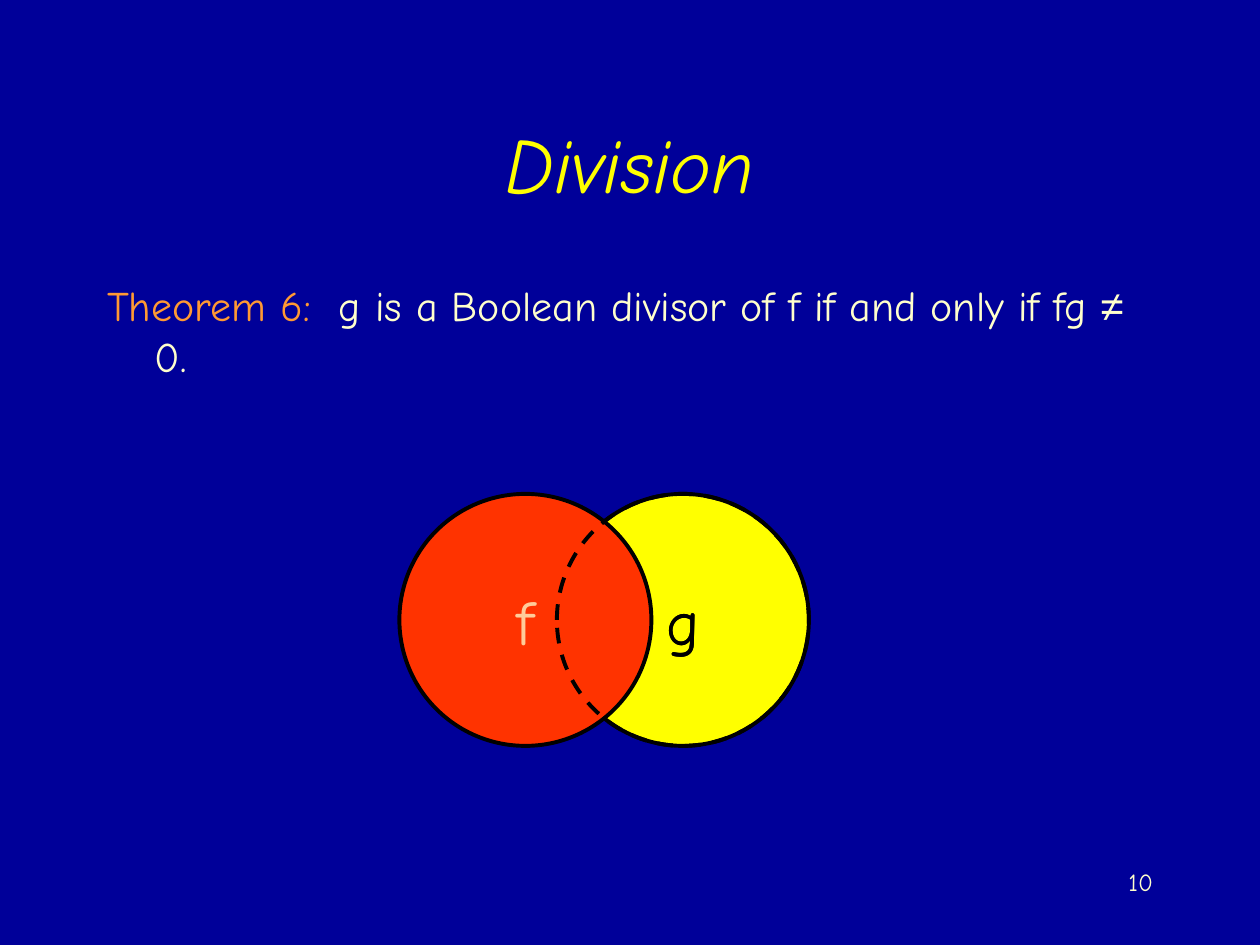
from lxml import etree
from pptx import Presentation
from pptx.dml.color import RGBColor
from pptx.enum.dml import MSO_LINE_DASH_STYLE as Dash
from pptx.enum.shapes import MSO_SHAPE as Shape
from pptx.enum.text import MSO_ANCHOR as Anchor, MSO_AUTO_SIZE as AutoSize, PP_ALIGN as Align
from pptx.oxml.ns import qn
from pptx.util import Inches, Pt

NAVY = RGBColor(0x00, 0x00, 0x99)
YELLOW = RGBColor(0xFF, 0xFF, 0x00)
ORANGE = RGBColor(0xFF, 0x99, 0x33)
CREAM = RGBColor(0xFF, 0xFF, 0xCC)
RED = RGBColor(0xFF, 0x33, 0x00)
PEACH = RGBColor(0xFF, 0xCC, 0x99)
BLACK = RGBColor(0x00, 0x00, 0x00)


class SlideBuilder:
    """Holds the style and the current slide."""

    font_name = "Comic Neue"

    def __init__(self, slide):
        self.slide = slide
        background = slide.background.fill
        background.solid()
        background.fore_color.rgb = NAVY

    def place(self, shape, left, top, width, height):
        box = {"left": left, "top": top, "width": width, "height": height}
        for name, value in box.items():
            setattr(shape, name, Inches(value))

    def add_run(self, paragraph, text, size, color, **formats):
        run = paragraph.add_run()
        run.text = text
        settings = {"name": self.font_name, "size": Pt(size), **formats}
        for name, value in settings.items():
            setattr(run.font, name, value)
        run.font.color.rgb = color

    def format_frame(self, frame, anchor, wrap=True):
        settings = {"word_wrap": wrap, "auto_size": AutoSize.NONE, "vertical_anchor": anchor}
        for name, value in settings.items():
            setattr(frame, name, value)
        return frame.paragraphs[0]

    def title(self, text, *box):
        shape = self.slide.shapes.title
        self.place(shape, *box)
        paragraph = self.format_frame(shape.text_frame, Anchor.MIDDLE)
        paragraph.alignment = Align.CENTER
        self.add_run(paragraph, text, 44, YELLOW, italic=True)

    def body(self, runs, *box):
        shape = self.slide.placeholders[1]
        self.place(shape, *box)
        paragraph = self.format_frame(shape.text_frame, Anchor.TOP)
        paragraph.space_before = Pt(0)
        # Hanging indent without a bullet
        properties = paragraph._p.get_or_add_pPr()
        properties.set("marL", str(Inches(0.38)))
        properties.set("indent", str(-Inches(0.38)))
        etree.SubElement(properties, qn("a:buNone"))
        for text, color, formats in runs:
            self.add_run(paragraph, text, 24, color, **formats)

    def circle(self, label, label_color, left, fill=None, dash=None):
        box = [Inches(length) for length in (left, 3.92, 2, 2)]
        shape = self.slide.shapes.add_shape(Shape.OVAL, *box)
        shape.shadow.inherit = False
        if fill is None:
            shape.fill.background()
        else:
            shape.fill.solid()
            shape.fill.fore_color.rgb = fill
        shape.line.color.rgb = BLACK
        shape.line.width = Pt(2.25)
        if dash is not None:
            shape.line.dash_style = dash
        paragraph = self.format_frame(shape.text_frame, Anchor.MIDDLE, wrap=False)
        paragraph.alignment = Align.CENTER
        self.add_run(paragraph, label, 36, label_color)

    def page_number(self, text, *box):
        shape = self.slide.shapes.add_textbox(*[Inches(length) for length in box])
        paragraph = self.format_frame(shape.text_frame, Anchor.TOP)
        paragraph.alignment = Align.RIGHT
        self.add_run(paragraph, text, 14, CREAM)


def main():
    presentation = Presentation()
    presentation.slide_width = Inches(10)
    presentation.slide_height = Inches(7.5)
    builder = SlideBuilder(presentation.slides.add_slide(presentation.slide_layouts[1]))

    # Title and theorem
    builder.title("Division", 0.75, 0.67, 8.5, 1.25)
    theorem = [
        ("Theorem 6:", ORANGE, {}),
        ("  g is a Boolean divisor of f if and only if fg ", CREAM, {}),
        ("≠", CREAM, {"name": "Arial"}),
        (" 0.", CREAM, {}),
    ]
    builder.body(theorem, 0.75, 2.17, 8.5, 1)

    # Overlapping sets: the dashed outline shows g's edge inside f
    f_left, g_left = 3.17, 4.42
    builder.circle("g", BLACK, g_left, fill=YELLOW)
    builder.circle("f", PEACH, f_left, fill=RED)
    builder.circle("g", BLACK, g_left, dash=Dash.DASH)

    # Page number
    builder.page_number("10", 7.17, 6.83, 2.08, 0.5)

    presentation.save("out.pptx")


if __name__ == "__main__":
    main()
